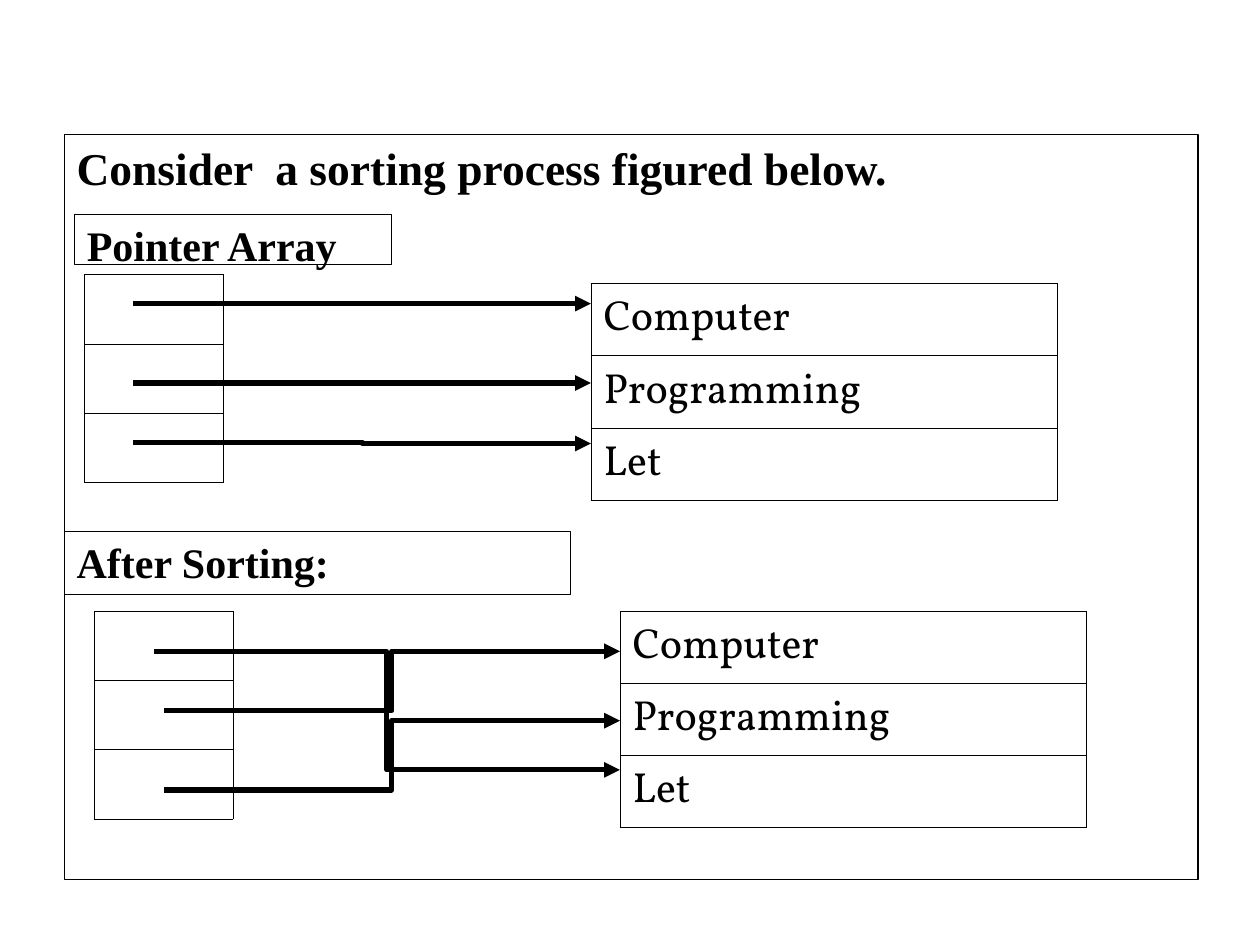
from lxml.etree import SubElement
from pptx import Presentation
from pptx.dml.color import RGBColor
from pptx.enum.shapes import MSO_CONNECTOR as Connector, MSO_SHAPE as Shape
from pptx.enum.text import MSO_ANCHOR as Anchor, PP_ALIGN as Align
from pptx.oxml import parse_xml
from pptx.oxml.ns import nsdecls, qn
from pptx.util import Inches, Pt

COLORS = {"ink": "000000"}
HEADING_FONT, WORD_FONT = "Times New Roman", "Vollkorn"
WORDS = ["Computer", "Programming", "Let"]
INK = RGBColor.from_string(COLORS["ink"])


def add_text(paragraph, text, font_name, size, bold, spacing):
    """Write one run in a paragraph."""
    paragraph.alignment = Align.LEFT
    paragraph.line_spacing = spacing
    run = paragraph.add_run()
    run.text = text
    run.font.name = font_name
    run.font.size = Pt(size)
    run.font.bold = bold
    run.font.color.rgb = INK


def add_heading(slide, left, top, width, height, text, size=24):
    """Draw an outlined box with a bold heading at its top."""
    box = slide.shapes.add_shape(
        Shape.RECTANGLE, Inches(left), Inches(top), Inches(width), Inches(height))
    box.shadow.inherit = False
    box.fill.background()
    box.line.color.rgb = INK
    box.line.width = Pt(0.75)
    frame = box.text_frame
    frame.word_wrap = True
    frame.vertical_anchor = Anchor.TOP
    frame.margin_left = frame.margin_right = Inches(0.1)
    frame.margin_top, frame.margin_bottom = Inches(0.07), Inches(0.05)
    add_text(frame.paragraphs[0], text, HEADING_FONT, size, True, 0.95)


def add_cell_borders(cell):
    """Give a cell a thin line on all four sides."""
    properties = cell._tc.get_or_add_tcPr()
    for position, side in enumerate(("lnL", "lnR", "lnT", "lnB")):
        properties.insert(position, parse_xml(
            f'<a:{side} {nsdecls("a")} w="{Pt(0.45)}"><a:solidFill>'
            f'<a:srgbClr val="{COLORS["ink"]}"/></a:solidFill></a:{side}>'))


def add_column(slide, left, top, width, row_height, words):
    """Draw a one-column table with a row for each word."""
    table = slide.shapes.add_table(
        len(words), 1, Inches(left), Inches(top), Inches(width),
        Inches(row_height * len(words))).table
    table.first_row = table.horz_banding = False
    for row, word in zip(table.rows, words):
        row.height = Inches(row_height)
        cell = row.cells[0]
        cell.fill.background()
        cell.vertical_anchor = Anchor.MIDDLE
        add_cell_borders(cell)
        if word:
            add_text(cell.text_frame.paragraphs[0], word, WORD_FONT, 24, False, 1.02)


def add_pointer(slide, start, end):
    """Draw a thick elbow arrow from a pointer to a word."""
    arrow = slide.shapes.add_connector(
        Connector.ELBOW, *(Inches(value) for value in (*start, *end)))
    arrow.line.color.rgb = INK
    arrow.line.width = Pt(3)
    SubElement(arrow.line._get_or_add_ln(), qn("a:tailEnd"), type="triangle")
    SubElement(arrow._element.spPr, qn("a:effectLst"))


def add_state(slide, pointers_at, words_at, pointers):
    """Draw the pointer array, the words and the arrows between them."""
    add_column(slide, *pointers_at, 1.1, 0.55, [""] * len(WORDS))
    add_column(slide, *words_at, 3.7, 0.57, WORDS)
    for start_x, start_y, end_y in pointers:
        add_pointer(slide, (start_x, start_y), (words_at[0], end_y))


def main():
    """Build the sorting slide."""
    deck = Presentation()
    deck.slide_width, deck.slide_height = Inches(10), Inches(7.5)
    slide = deck.slides.add_slide(deck.slide_layouts[6])
    add_heading(slide, 0.51, 1.07, 9, 5.91,
                "Consider  a sorting process figured below.", 26)
    add_state(slide, (0.67, 2.18), (4.69, 2.25),
              [(1.06, 2.41, 2.41), (1.06, 3.04, 3.04), (1.06, 3.51, 3.52)])
    add_state(slide, (0.75, 4.85), (4.92, 4.85),
              [(1.22, 5.17, 6.11), (1.3, 5.64, 5.17), (1.3, 6.27, 5.72)])
    add_heading(slide, 0.51, 4.22, 4.02, 0.5, "After Sorting:")
    add_heading(slide, 0.59, 1.7, 2.52, 0.4, "Pointer Array")
    deck.save("out.pptx")


if __name__ == "__main__":
    main()
